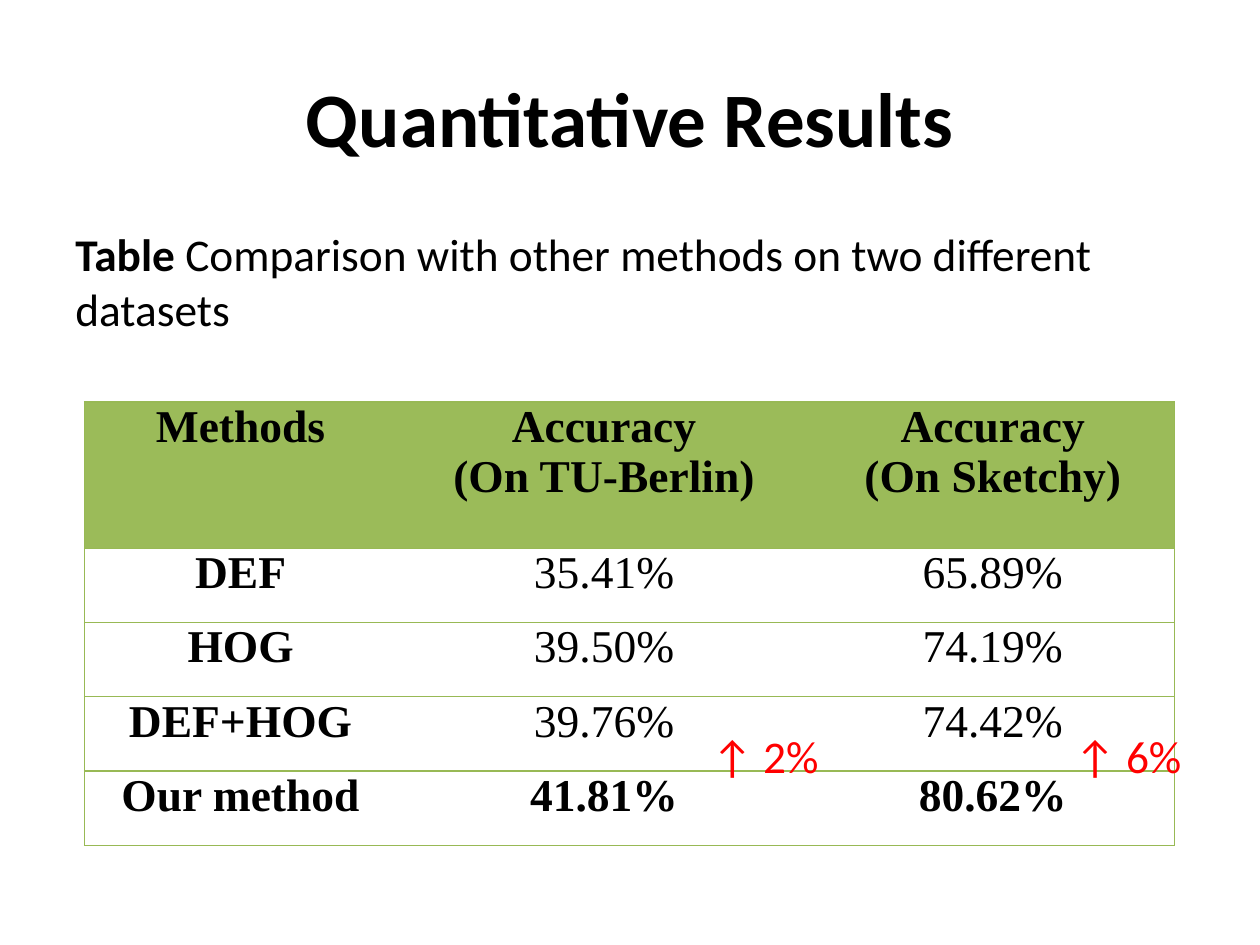
from lxml.etree import SubElement
from pptx import Presentation
from pptx.dml.color import RGBColor
from pptx.enum.text import MSO_ANCHOR, PP_ALIGN
from pptx.oxml.ns import qn
from pptx.util import Inches, Pt

COLORS = {"text": "000000", "green": "9BBB59", "border": "98B955",
          "white": "FFFFFF", "gain": "FF0000"}
BODY_SIZE = 25.9
COL_WIDTHS = [2.48, 3.29, 2.88]
HEADER_HEIGHT, ROW_HEIGHT = 1.16, 0.59
ROWS = [
    ["Methods", "Accuracy\n(On TU-Berlin)", "Accuracy\n(On Sketchy)"],
    ["DEF", "35.41%", "65.89%"],
    ["HOG", "39.50%", "74.19%"],
    ["DEF+HOG", "39.76%", "74.42%"],
    ["Our method", "41.81%", "80.62%"],
]


def rgb(name):
    return RGBColor.from_string(COLORS[name])


def add_run(p, text, size, font="Calibri", color="text", bold=False):
    r = p.add_run()
    r.text = text
    r.font.size = Pt(size)
    r.font.name = font
    r.font.bold = bold
    r.font.color.rgb = rgb(color)


def add_text_box(slide, left, top, width, height, inset=0.1):
    box = slide.shapes.add_textbox(Inches(left), Inches(top),
                                   Inches(width), Inches(height))
    tf = box.text_frame
    tf.word_wrap = True
    tf.margin_left = tf.margin_right = Inches(inset)
    tf.margin_top = tf.margin_bottom = Inches(inset / 2)
    return tf


def add_title(slide, left, top, width, height):
    tf = add_text_box(slide, left, top, width, height)
    tf.vertical_anchor = MSO_ANCHOR.MIDDLE
    p = tf.paragraphs[0]
    p.alignment = PP_ALIGN.CENTER
    add_run(p, "Quantitative Results", 44, bold=True)


def add_caption(slide, left, top, width, height):
    p = add_text_box(slide, left, top, width, height).paragraphs[0]
    add_run(p, "Table", BODY_SIZE, bold=True)
    add_run(p, " Comparison with other methods on two different datasets", BODY_SIZE)


def set_borders(cell, sides):
    """Draw the given sides in green and hide the others."""
    tc_pr = cell._tc.get_or_add_tcPr()
    for i, side in enumerate("LRTB"):
        ln = tc_pr.makeelement(qn(f"a:ln{side}"), {"w": str(Pt(0.75))})
        tc_pr.insert(i, ln)
        if side in sides:
            fill = SubElement(ln, qn("a:solidFill"))
            SubElement(fill, qn("a:srgbClr"), val=COLORS["border"])
        else:
            SubElement(ln, qn("a:noFill"))


def fill_cell(cell, text, bold, fill):
    cell.fill.solid()
    cell.fill.fore_color.rgb = rgb(fill)
    cell.margin_left = cell.margin_right = Inches(0.08)
    cell.margin_top = cell.margin_bottom = 0
    tf = cell.text_frame
    for i, line in enumerate(text.split("\n")):
        p = tf.add_paragraph() if i else tf.paragraphs[0]
        p.alignment = PP_ALIGN.CENTER
        add_run(p, line, 26, "Times New Roman", bold=bold)


def add_results_table(slide, left, top):
    heights = [HEADER_HEIGHT] + [ROW_HEIGHT] * (len(ROWS) - 1)
    table = slide.shapes.add_table(
        len(ROWS), len(COL_WIDTHS), Inches(left), Inches(top),
        Inches(sum(COL_WIDTHS)), Inches(sum(heights))).table
    table.first_row = table.horz_banding = False
    for col, width in zip(table.columns, COL_WIDTHS):
        col.width = Inches(width)
    last_row, last_col = len(ROWS) - 1, len(COL_WIDTHS) - 1
    for i, (row, height) in enumerate(zip(ROWS, heights)):
        table.rows[i].height = Inches(height)
        for j, text in enumerate(row):
            cell = table.cell(i, j)
            fill_cell(cell, text, bold=i in (0, last_row) or j == 0,
                      fill="white" if i else "green")
            set_borders(cell, "TB" + {0: "L", last_col: "R"}.get(j, ""))


def add_gain(slide, left, top, text):
    tf = add_text_box(slide, left, top, 0.9, 0.45, inset=0)
    add_run(tf.paragraphs[0], text, BODY_SIZE, color="gain")


def main():
    prs = Presentation()
    prs.slide_width, prs.slide_height = Inches(10), Inches(7.5)
    slide = prs.slides.add_slide(prs.slide_layouts[6])
    add_title(slide, 0.5, 0.3, 9, 1.25)
    add_results_table(slide, 0.67, 3.19)
    add_caption(slide, 0.5, 1.75, 9, 1)
    for left, text in [(5.65, "↑ 2%"), (8.53, "↑ 6%")]:
        add_gain(slide, left, 5.78, text)
    prs.save("out.pptx")


if __name__ == "__main__":
    main()
